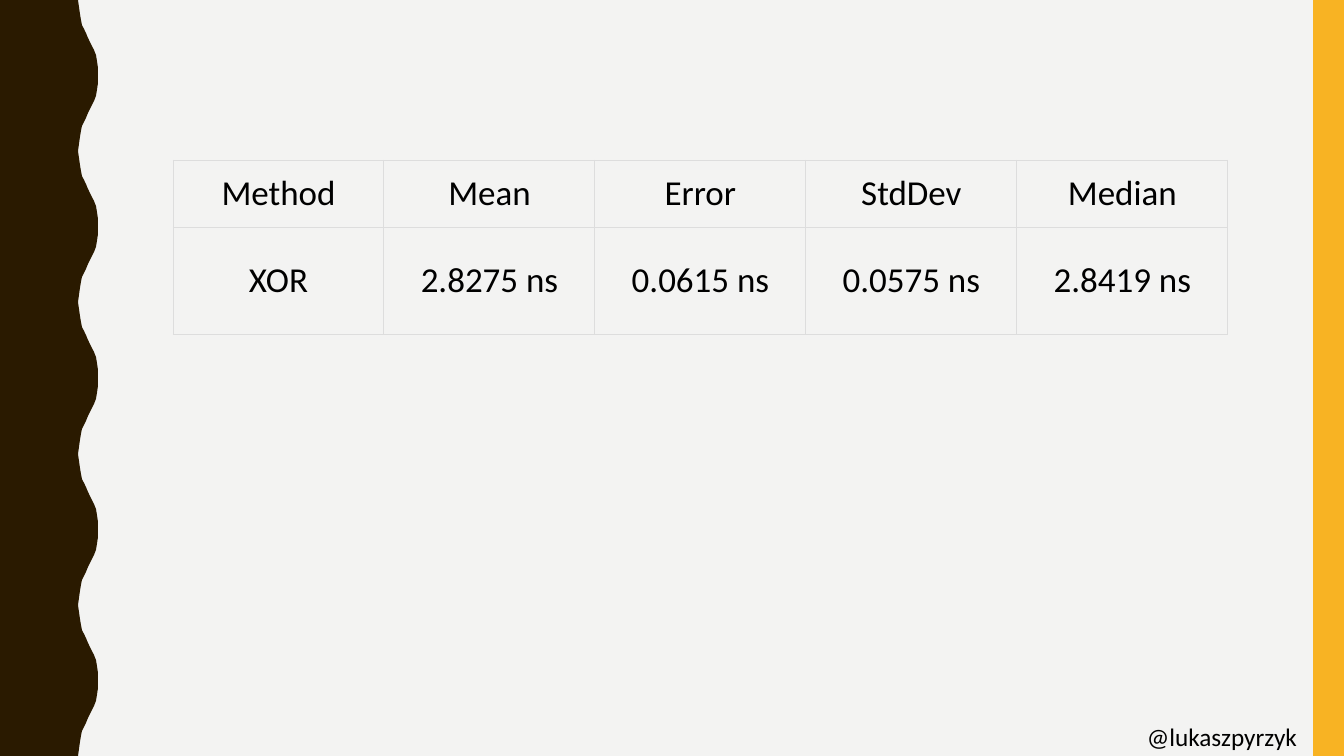
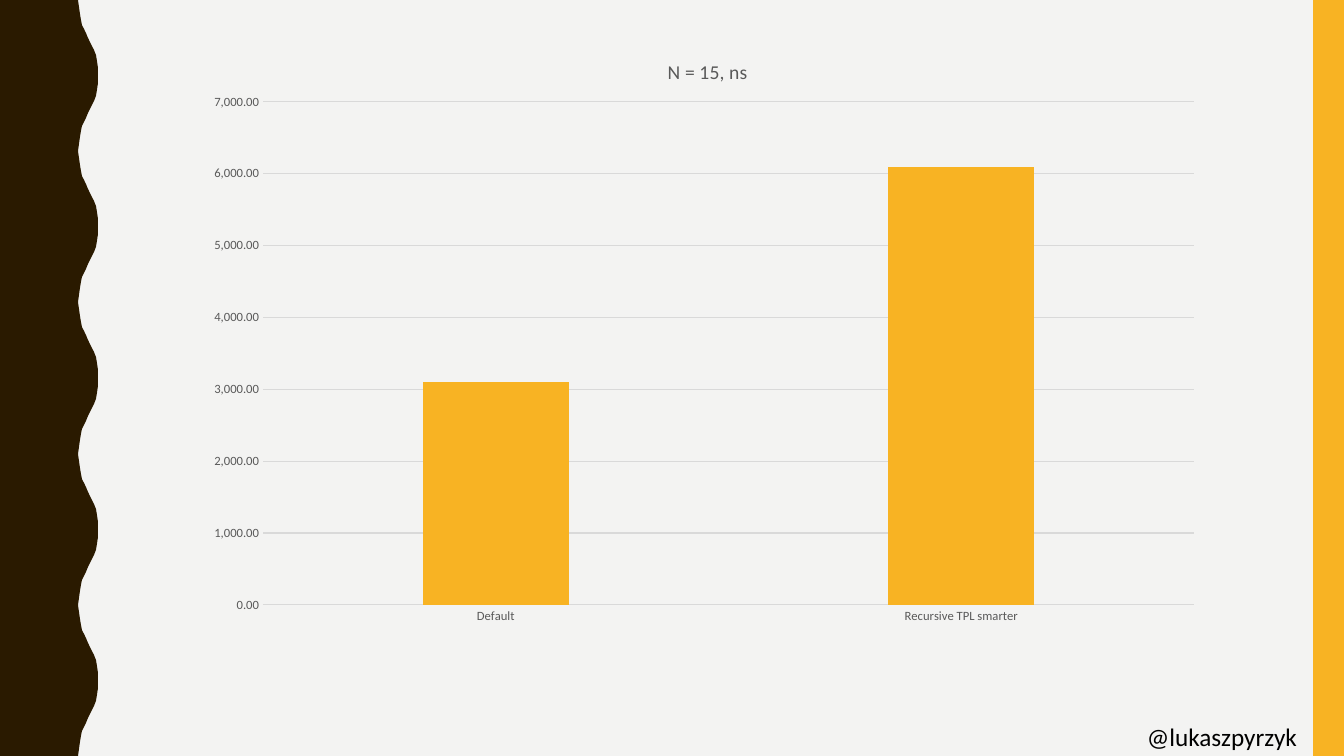
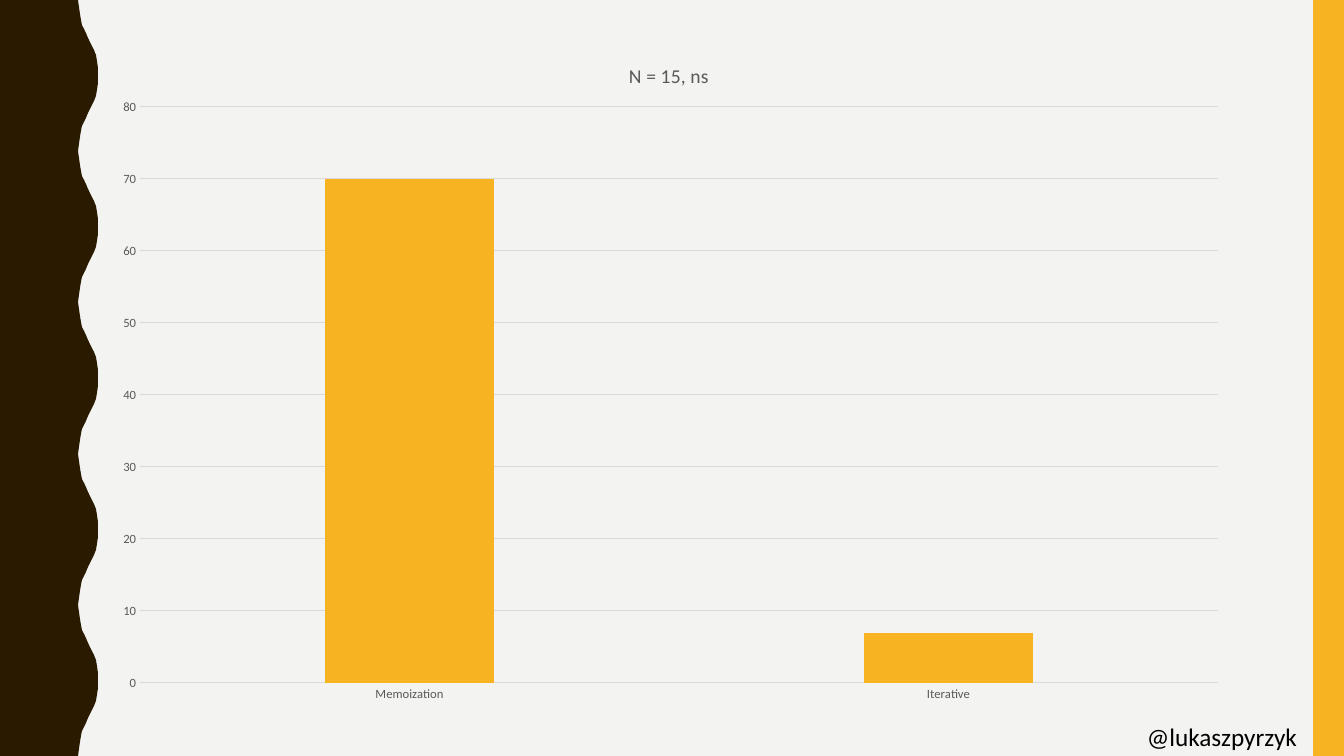
from lxml import etree
from pptx import Presentation
from pptx.chart.data import CategoryChartData
from pptx.dml.color import RGBColor
from pptx.enum.chart import XL_CHART_TYPE, XL_TICK_MARK
from pptx.enum.shapes import MSO_SHAPE
from pptx.enum.text import MSO_ANCHOR, MSO_AUTO_SIZE, PP_ALIGN
from pptx.oxml.ns import qn
from pptx.util import Pt

COLUMN_CLUSTERED = XL_CHART_TYPE.COLUMN_CLUSTERED
NO_TICK = XL_TICK_MARK.NONE
RECTANGLE = MSO_SHAPE.RECTANGLE
MIDDLE = MSO_ANCHOR.MIDDLE
GROW = MSO_AUTO_SIZE.SHAPE_TO_FIT_TEXT
CENTER = PP_ALIGN.CENTER

SLIDE_WIDTH, SLIDE_HEIGHT = 1344, 756
SCALE = 12192000 / SLIDE_WIDTH
FONT = "Calibri"
COLORS = {
    "background": "F3F3F2",
    "wave": "2A1A00",
    "accent": "F8B323",
    "text": "000000",
    "chart_text": "595959",
    "grid": "D9D9D9",
    "border": "DDDDDD",
}
WAVE_COUNT = 5
WAVE_RISE = [(78, 0), (79, 7), (80, 14), (81, 20), (82, 25), (84, 29), (86, 33), (88, 38),
             (90, 42), (92, 46), (94, 50), (96, 55), (97, 61), (98, 68), (98, 76)]


def px(length):
    return round(length * SCALE)


def color(name):
    return RGBColor.from_string(COLORS[name])


def style_font(font, size, name):
    font.name = FONT
    font.size = Pt(size)
    font.bold = False
    font.color.rgb = color(name)


def paint(shape, name):
    shape.shadow.inherit = False
    shape.fill.solid()
    shape.fill.fore_color.rgb = color(name)
    shape.line.fill.background()


def add_wave(slide, height):
    period = height / WAVE_COUNT
    fall = [(x, period - y) for x, y in reversed(WAVE_RISE[:-1])]
    points = [(x, round(index * period + y))
              for index in range(WAVE_COUNT) for x, y in WAVE_RISE + fall]
    builder = slide.shapes.build_freeform(0, 0, scale=SCALE)
    builder.add_line_segments(points + [(0, height)], close=True)
    paint(builder.convert_to_shape(), "wave")


def add_side_band(slide, left, top, width, height):
    band = slide.shapes.add_shape(RECTANGLE, px(left), px(top), px(width), px(height))
    paint(band, "accent")


def add_handle(slide, left, top, width, height):
    box = slide.shapes.add_textbox(px(left), px(top), px(width), px(height))
    frame = box.text_frame
    frame.word_wrap = True
    frame.auto_size = GROW
    frame.text = "@lukaszpyrzyk"
    style_font(frame.paragraphs[0].runs[0].font, 18, "text")


def add_base_slide(presentation):
    slide = presentation.slides.add_slide(presentation.slide_layouts[6])
    add_wave(slide, SLIDE_HEIGHT)
    add_side_band(slide, 1313, 0, 31, SLIDE_HEIGHT)
    add_handle(slide, 1137, 716, 207, 40)
    return slide


def set_borders(cell):
    properties = cell._tc.get_or_add_tcPr()
    for position, side in enumerate(("a:lnL", "a:lnR", "a:lnT", "a:lnB")):
        line = etree.Element(qn(side), w=str(Pt(0.75)))
        fill = etree.SubElement(line, qn("a:solidFill"))
        etree.SubElement(fill, qn("a:srgbClr"), val=COLORS["border"])
        properties.insert(position, line)


def style_cell(cell, text):
    cell.text = text
    cell.fill.background()
    cell.vertical_anchor = MIDDLE
    cell.margin_left = cell.margin_right = px(8)
    cell.margin_top = cell.margin_bottom = px(4)
    paragraph = cell.text_frame.paragraphs[0]
    paragraph.alignment = CENTER
    style_font(paragraph.runs[0].font, 25, "text")
    set_borders(cell)


def add_result_table(slide, left, top, column_width, row_heights, rows):
    column_count = len(rows[0])
    table = slide.shapes.add_table(
        len(rows), column_count, px(left), px(top),
        px(column_width * column_count), px(sum(row_heights))).table
    table.first_row = False
    table.horz_banding = False
    for column in table.columns:
        column.width = px(column_width)
    for row, height, texts in zip(table.rows, row_heights, rows):
        row.height = px(height)
        for cell, text in zip(row.cells, texts):
            style_cell(cell, text)


def set_layout(element, position, settings):
    for layout in element.findall(qn("c:layout")):
        element.remove(layout)
    layout = etree.Element(qn("c:layout"))
    manual = etree.SubElement(layout, qn("c:manualLayout"))
    for tag, value in settings.items():
        etree.SubElement(manual, qn("c:" + tag), val=str(value))
    element.insert(position, layout)


def style_axis(axis):
    axis.major_tick_mark = axis.minor_tick_mark = NO_TICK
    style_font(axis.tick_labels.font, 9, "chart_text")


def add_column_chart(slide, box, plot, title, values, number_format):
    left, top, width, height = box
    plot_left, plot_top, plot_width, plot_height = plot
    data = CategoryChartData(number_format=number_format)
    data.categories = list(values)
    data.add_series("Series 1", list(values.values()))
    chart = slide.shapes.add_chart(
        COLUMN_CLUSTERED, px(left), px(top), px(width), px(height), data).chart
    style_font(chart.font, 10, "text")
    chart.has_legend = False

    chart.has_title = True
    frame = chart.chart_title.text_frame
    frame.text = title
    style_font(frame.paragraphs[0].runs[0].font, 14, "chart_text")
    set_layout(chart.chart_title._element, 1, {
        "xMode": "edge", "yMode": "edge", "x": 0.46, "y": 0.04})
    set_layout(chart._chartSpace.chart.plotArea, 0, {
        "layoutTarget": "inner", "xMode": "edge", "yMode": "edge",
        "x": plot_left / width, "y": plot_top / height,
        "w": plot_width / width, "h": plot_height / height})

    category_axis, value_axis = chart.category_axis, chart.value_axis
    style_axis(category_axis)
    style_axis(value_axis)
    value_axis.minimum_scale = 0
    value_axis.tick_labels.number_format = number_format
    value_axis.tick_labels.number_format_is_linked = False
    value_axis.format.line.fill.background()
    for line in (category_axis.format.line, value_axis.major_gridlines.format.line):
        line.color.rgb = color("grid")
        line.width = Pt(0.75)

    columns = chart.plots[0]
    columns.gap_width = 219
    columns.overlap = -27
    columns.vary_by_categories = False
    fill = columns.series[0].format.fill
    fill.solid()
    fill.fore_color.rgb = color("accent")


def main():
    presentation = Presentation()
    presentation.slide_width = px(SLIDE_WIDTH)
    presentation.slide_height = px(SLIDE_HEIGHT)
    background = presentation.slide_master.background.fill
    background.solid()
    background.fore_color.rgb = color("background")

    add_result_table(add_base_slide(presentation), 173, 160, 211, (67, 107), [
        ("Method", "Mean", "Error", "StdDev", "Median"),
        ("XOR", "2.8275 ns", "0.0615 ns", "0.0575 ns", "2.8419 ns"),
    ])
    add_column_chart(
        add_base_slide(presentation), (195, 31, 1020, 604), (68, 71, 931, 503),
        "N = 15, ns", {"Default": 3100, "Recursive TPL smarter": 6100}, "#,##0.00")
    add_column_chart(
        add_base_slide(presentation), (101, 31, 1140, 683), (39, 76, 1078, 576),
        "N = 15, ns", {"Memoization": 70, "Iterative": 7}, "General")
    presentation.save("out.pptx")


if __name__ == "__main__":
    main()
